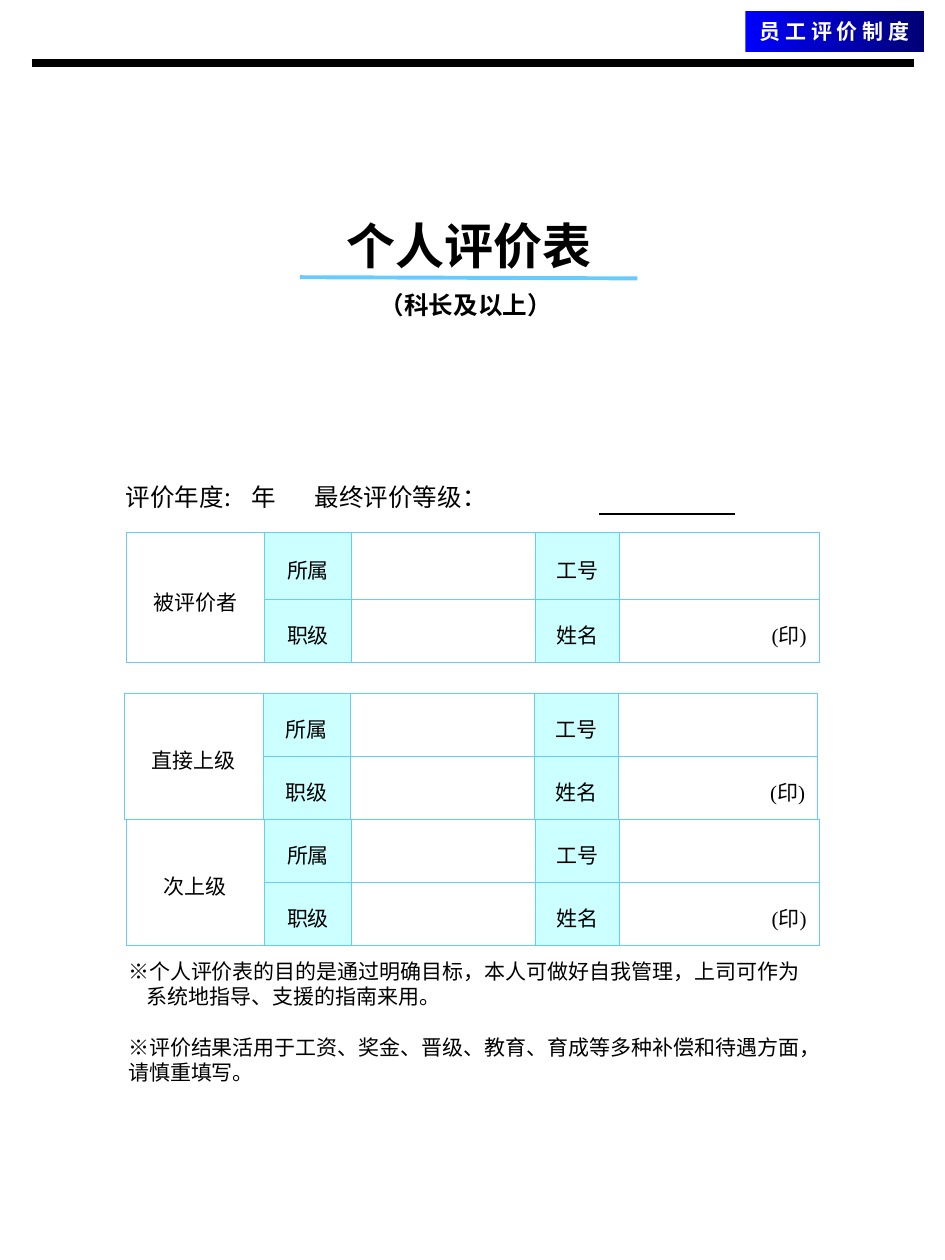
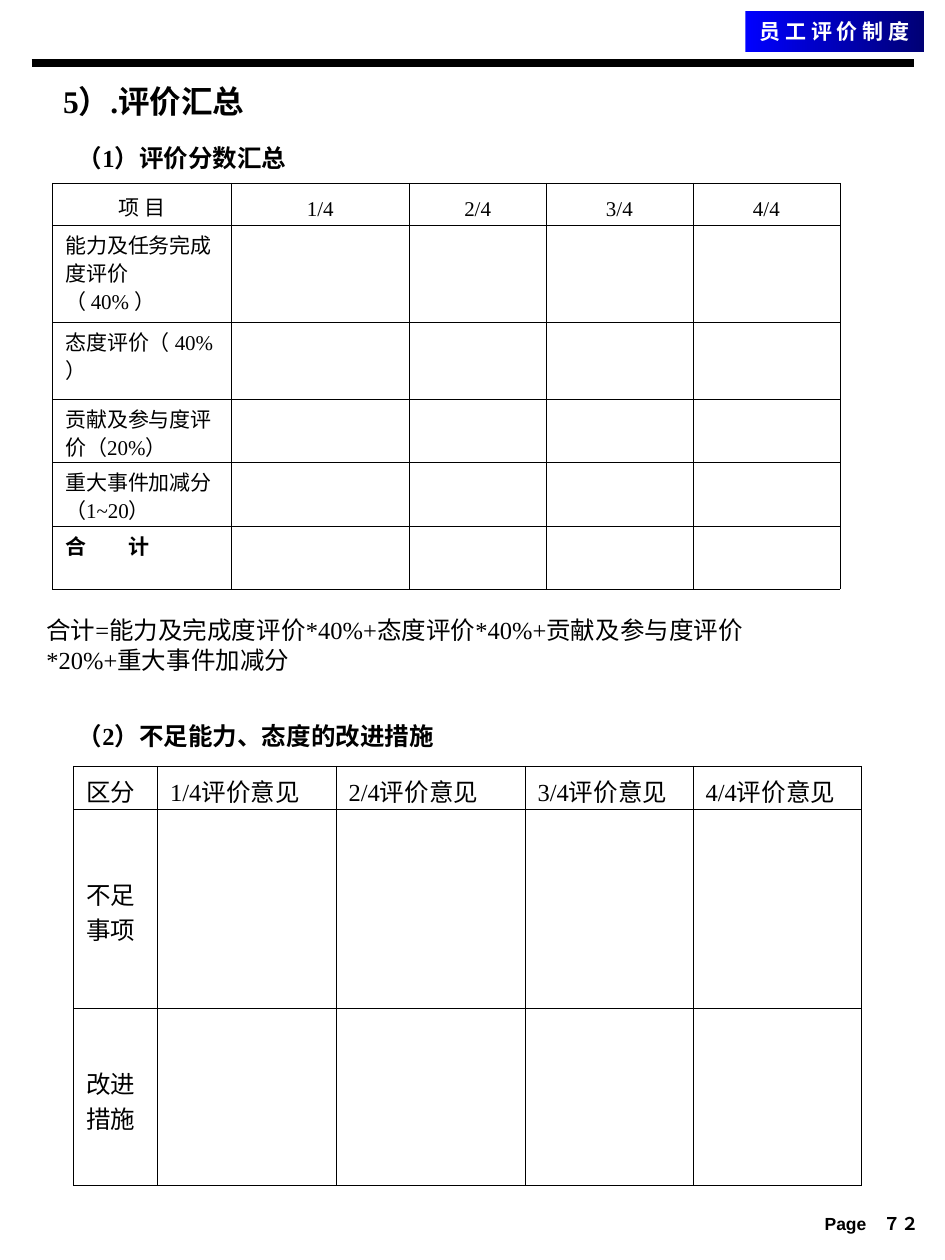
from lxml.etree import SubElement
from pptx import Presentation
from pptx.dml.color import RGBColor
from pptx.enum.shapes import MSO_CONNECTOR, MSO_SHAPE
from pptx.enum.text import MSO_ANCHOR, MSO_AUTO_SIZE, PP_ALIGN
from pptx.oxml import parse_xml
from pptx.oxml.ns import nsdecls, qn
from pptx.util import Pt

BLACK, WHITE = "000000", "FFFFFF"
SKY, PALE = "66CCFF", "CCFFFF"
BLUE, NAVY = "0000FF", "000075"
SERIF, SANS, SANS_KR, PAGE_FONT = "Times New Roman", "Noto Sans CJK SC", "Noto Sans CJK KR", "Arial"
LEFT, CENTER, RIGHT = PP_ALIGN.LEFT, PP_ALIGN.CENTER, PP_ALIGN.RIGHT
TOP, MIDDLE = MSO_ANCHOR.TOP, MSO_ANCHOR.MIDDLE

BADGE = "员 工 评 价 制 度"
FORM_TITLE = "个人评价表"
FORM_SUBTITLE = "（科长及以上）"
YEAR_LINE = [("评价年度: ", False), ("\t", True), ("年\t最终评价等级：", False), ("\t", True)]
YEAR_TABS = (88, 121, 257)
NOTES = [
    "※个人评价表的目的是通过明确目标，本人可做好自我管理，上司可作为",
    "系统地指导、支援的指南来用。",
    "※评价结果活用于工资、奖金、晋级、教育、育成等多种补偿和待遇方面，请慎重填写。",
]
# role, left, top, row heights
PEOPLE = [
    ("被评价者", 72.2, 304.4, (38, 36)),
    ("直接上级", 71.3, 396, (36, 36)),
    ("次上级", 72.2, 468, (36, 36)),
]
PERSON_COLUMNS = (79, 49.7, 105.3, 48, 114)
PERSON_FIELDS = [["所属", "", "工号", ""], ["职级", "", "姓名", "(印)"]]

SUMMARY_TITLE = "5）.评价汇总"
SCORE_HEADING = "（1）评价分数汇总"
QUARTERS = ["1/4", "2/4", "3/4", "4/4"]
SCORE_ITEMS = [
    "能力及任务完成度评价（ 40% ）",
    "态度评价（ 40% ）",
    "贡献及参与度评价（20%）",
    "重大事件加减分（1~20）",
    "合\t计",
]
SCORE_COLUMNS = (102, 102, 78, 84, 84)
SCORE_ROWS = (24, 55.4, 44, 36, 36.4, 36)
FORMULA = ["合计=能力及完成度评价*40%+态度评价*40%+贡献及参与度评价", "*20%+重大事件加减分"]
ACTION_HEADING = "（2）不足能力、态度的改进措施"
ACTION_ITEMS = ["不足事项", "改进措施"]
ACTION_COLUMNS = (48, 102, 108, 96, 96)
ACTION_ROWS = (24.5, 113.8, 101.5)
PAGE_LABEL = "Page　７２"


def color(value):
    return RGBColor.from_string(value)


def write(frame, lines, size=12, font=SERIF, east=SANS, bold=False, ink=BLACK, align=LEFT,
          line_height=None, tabs=(), indents=None, gaps=None):
    """Each line is a string or a list of (text, underlined) pairs."""
    lines = [lines] if isinstance(lines, str) else lines
    for number, line in enumerate(lines):
        para = frame.paragraphs[0] if number == 0 else frame.add_paragraph()
        properties = para._p.get_or_add_pPr()
        properties.set("marL", str(Pt((indents or {}).get(number, 0))))
        properties.set("indent", "0")
        SubElement(properties, qn("a:buNone"))
        if tabs:
            tab_list = SubElement(properties, qn("a:tabLst"))
            for tab in tabs:
                SubElement(tab_list, qn("a:tab"), pos=str(Pt(tab)), algn="l")
        para.alignment = align
        para.space_before = Pt((gaps or {}).get(number, 0))
        para.line_spacing = Pt(line_height) if line_height else 1.0
        for text, underlined in [(line, False)] if isinstance(line, str) else line:
            span = para.add_run()
            span.text = text
            span.font.size = Pt(size)
            span.font.bold = bold
            span.font.underline = underlined
            span.font.color.rgb = color(ink)
            span.font.name = font
            SubElement(span._r.get_or_add_rPr(), qn("a:ea"), typeface=east)


def place(box, left, top, width, height):
    box.left, box.top, box.width, box.height = Pt(left), Pt(top), Pt(width), Pt(height)
    frame = box.text_frame
    frame.word_wrap = True
    frame.auto_size = MSO_AUTO_SIZE.NONE
    frame.vertical_anchor = MIDDLE
    frame.margin_left = frame.margin_right = Pt(7.2)
    frame.margin_top = frame.margin_bottom = Pt(3.6)
    return frame


def add_text(slide, area, lines, **style):
    box = slide.shapes.add_textbox(0, 0, 0, 0)
    write(place(box, *area), lines, **style)


def add_line(slide, start, end, ink, width):
    line = slide.shapes.add_connector(MSO_CONNECTOR.STRAIGHT, *map(Pt, start + end))
    line.line.color.rgb = color(ink)
    line.line.width = Pt(width)
    SubElement(line.element.spPr, qn("a:effectLst"))
    return line


def add_header(deck, slide):
    """Draw the rule and badge, then move them to the master that all slides share."""
    rule = add_line(slide, (18, 36), (522, 36), BLACK, 4.5)
    badge = slide.shapes.add_shape(MSO_SHAPE.RECTANGLE, 0, 0, 0, 0)
    badge.shadow.inherit = False
    badge.line.fill.background()
    badge.fill.gradient()
    badge.fill.gradient_angle = 0
    for stop, shade in zip(badge.fill.gradient_stops, (BLUE, NAVY)):
        stop.color.rgb = color(shade)
    write(place(badge, 426, 6, 102, 24), BADGE, font=SANS, bold=True, ink=WHITE, align=CENTER)
    for number, shape in enumerate((rule, badge), 101):
        shape.element.xpath(".//p:cNvPr")[0].set("id", str(number))
        deck.slide_master.element.cSld.spTree.append(shape.element)


def add_grid(slide, left, top, columns, rows, ink, width):
    frame = slide.shapes.add_table(len(rows), len(columns), Pt(left), Pt(top),
                                   Pt(sum(columns)), Pt(sum(rows)))
    table = frame.table
    table.first_row = table.horz_banding = False
    for column, size in zip(table.columns, columns):
        column.width = Pt(size)
    for row, size in zip(table.rows, rows):
        row.height = Pt(size)
    for cell in table.iter_cells():
        cell.fill.background()
        cell.margin_left = cell.margin_right = Pt(7.2)
        cell.margin_top, cell.margin_bottom = Pt(4), 0
        properties = cell._tc.get_or_add_tcPr()
        for index, side in enumerate(("lnL", "lnR", "lnT", "lnB")):
            properties.insert(index, parse_xml(
                f'<a:{side} {nsdecls("a")} w="{Pt(width)}"><a:solidFill>'
                f'<a:srgbClr val="{ink}"/></a:solidFill></a:{side}>'))
    return table


def fill_cell(cell, text, anchor=MIDDLE, **style):
    cell.vertical_anchor = anchor
    write(cell.text_frame, text, **style)


def add_person(slide, role, left, top, rows):
    table = add_grid(slide, left, top, PERSON_COLUMNS, rows, SKY, 0.45)
    table.cell(0, 0).merge(table.cell(1, 0))
    fill_cell(table.cell(0, 0), role, align=CENTER)
    for row, fields in enumerate(PERSON_FIELDS):
        for column, text in enumerate(fields, 1):
            cell = table.cell(row, column)
            is_label = column in (1, 3)
            if is_label:
                cell.fill.solid()
                cell.fill.fore_color.rgb = color(PALE)
            if text:
                fill_cell(cell, text, align=CENTER if is_label else RIGHT)


def build_form(deck):
    slide = deck.slides.add_slide(deck.slide_layouts[1])
    add_header(deck, slide)
    write(place(slide.shapes.title, 175, 119.5, 186, 41), FORM_TITLE,
          size=28, font=SANS_KR, east=SANS_KR, bold=True, align=CENTER)
    add_line(slide, (171.4, 158.4), (364.3, 159.1), SKY, 2.25)
    add_text(slide, (210, 162, 130, 24.5), FORM_SUBTITLE,
             size=14, font=SANS_KR, east=SANS_KR, bold=True)
    add_text(slide, (64.8, 271.5, 403, 24.5), [YEAR_LINE],
             size=14, font=SANS_KR, east=SANS_KR, tabs=YEAR_TABS)
    add_line(slide, (342, 293.8), (420, 293.8), BLACK, 0.75)
    for person in PEOPLE:
        add_person(slide, *person)
    write(place(slide.placeholders[1], 66, 544.3, 420, 79), NOTES,
          line_height=14.5, indents={1: 10.5}, gaps={2: 14.5})


def build_summary(deck):
    slide = deck.slides.add_slide(deck.slide_layouts[5])
    write(place(slide.shapes.title, 28.8, 43.2, 190, 29), SUMMARY_TITLE, size=18, bold=True)
    for top, heading in ((77.8, SCORE_HEADING), (408, ACTION_HEADING)):
        add_text(slide, (37.4, top, 270, 24.5), heading, size=14, bold=True)

    scores = add_grid(slide, 30, 104.6, SCORE_COLUMNS, SCORE_ROWS, BLACK, 0.11)
    for column, text in enumerate(["项 目"] + QUARTERS):
        fill_cell(scores.cell(0, column), text, align=CENTER, line_height=16)
    for row, item in enumerate(SCORE_ITEMS, 1):
        is_total = row == len(SCORE_ITEMS)
        fill_cell(scores.cell(row, 0), item, anchor=TOP, line_height=16,
                  bold=is_total, tabs=(23,) if is_total else ())

    add_text(slide, (19.4, 347.8, 468, 41), FORMULA, size=14, line_height=17)

    actions = add_grid(slide, 42, 437.8, ACTION_COLUMNS, ACTION_ROWS, BLACK, 0.45)
    for column, text in enumerate(["区分"] + [f"{quarter}评价意见" for quarter in QUARTERS]):
        fill_cell(actions.cell(0, column), text, anchor=TOP, size=14, line_height=20)
    for row, item in enumerate(ACTION_ITEMS, 1):
        fill_cell(actions.cell(row, 0), item, size=14, line_height=20)

    add_text(slide, (420, 690, 112, 18), PAGE_LABEL,
             size=10, font=PAGE_FONT, bold=True, align=RIGHT)


def main():
    deck = Presentation()
    deck.slide_width, deck.slide_height = Pt(540), Pt(720)
    build_form(deck)
    build_summary(deck)
    deck.save("out.pptx")


if __name__ == "__main__":
    main()
